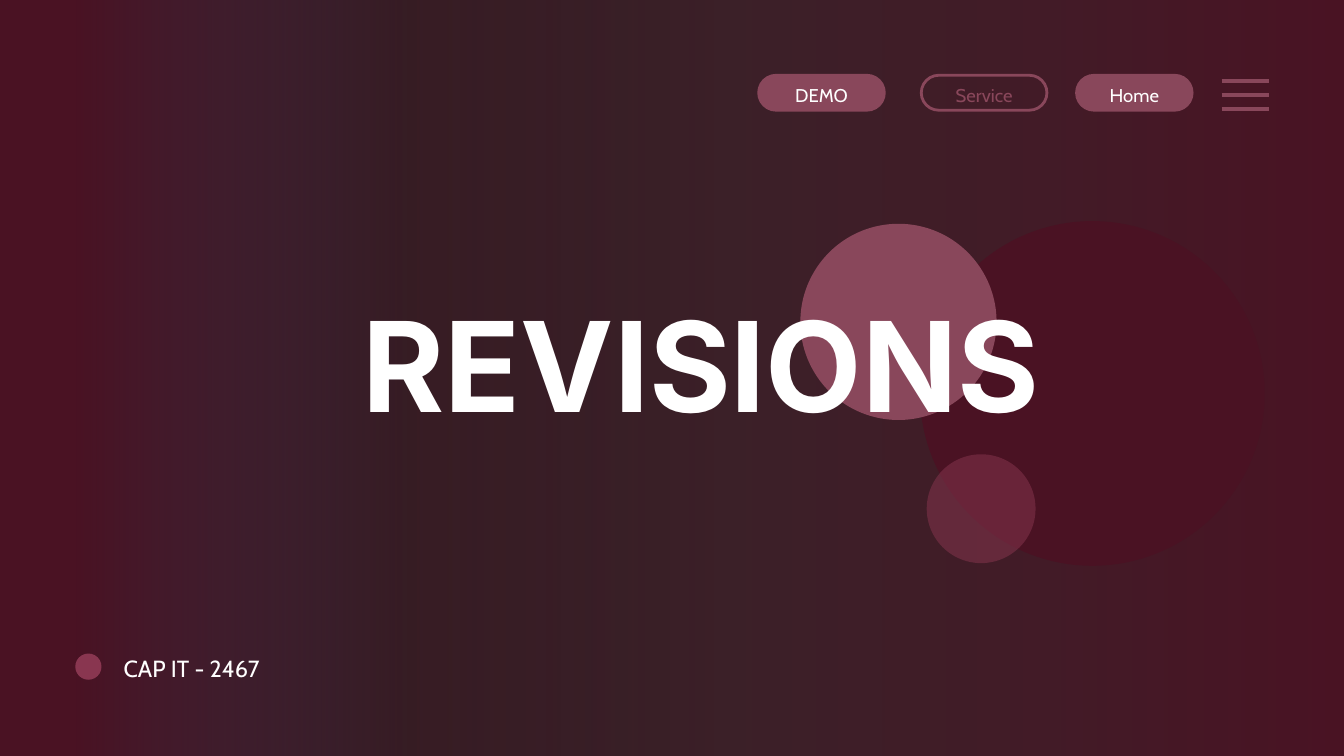
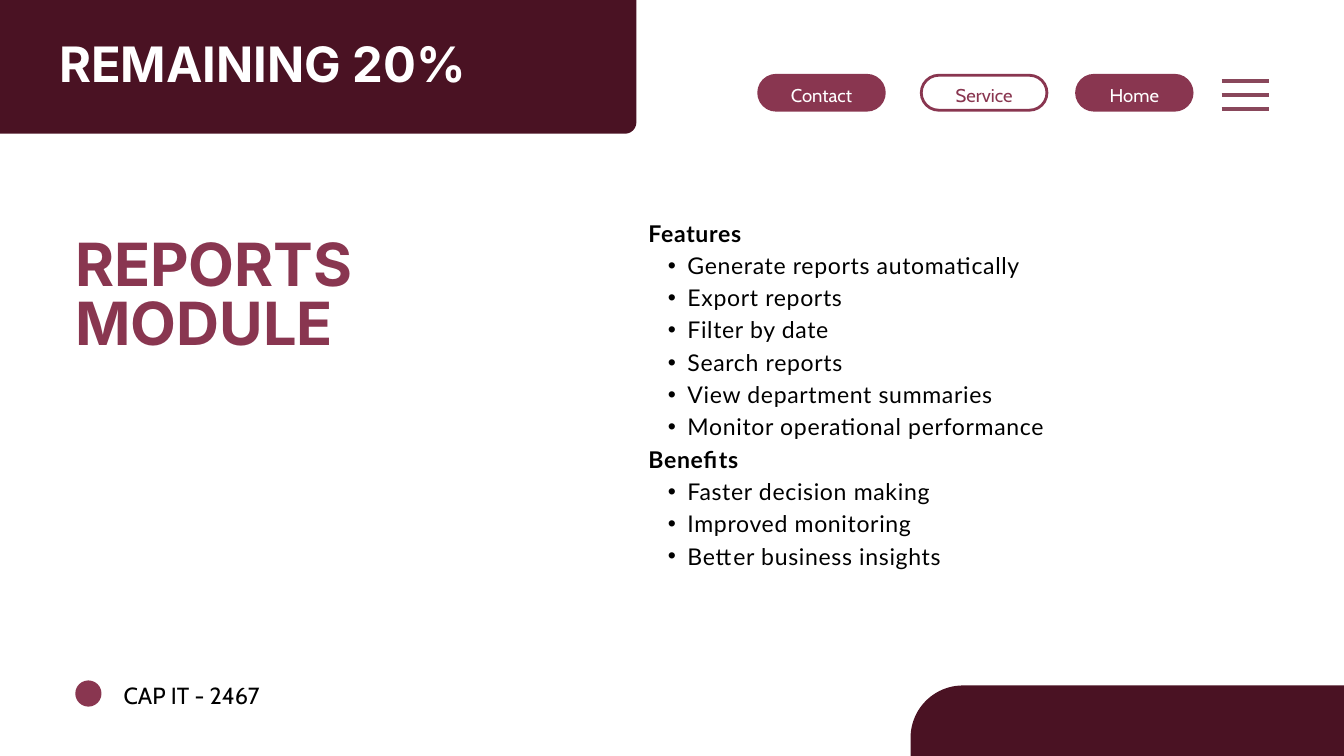
from lxml import etree
from pptx import Presentation
from pptx.dml.color import RGBColor
from pptx.enum.shapes import MSO_CONNECTOR, MSO_SHAPE
from pptx.enum.text import MSO_ANCHOR, MSO_AUTO_SIZE, PP_ALIGN
from pptx.oxml.ns import qn
from pptx.util import Inches, Pt

LEFT, CENTER, JUSTIFY = PP_ALIGN.LEFT, PP_ALIGN.CENTER, PP_ALIGN.JUSTIFY
TOP, MIDDLE = MSO_ANCHOR.TOP, MSO_ANCHOR.MIDDLE
OVAL, RECT, ROUNDED = MSO_SHAPE.OVAL, MSO_SHAPE.RECTANGLE, MSO_SHAPE.ROUNDED_RECTANGLE

COLORS = {
    "wine": "4A1223",
    "berry": "893650",
    "rose": "89475B",
    "white": "FFFFFF",
    "black": "000000",
}
GLOW_STOPS = [
    (0, "283E51", 0),
    (25, "321F25", 78),
    (50, "3B2028", 100),
    (75, "421B27", 100),
    (100, "4A1223", 100),
]
WIDTH, HEIGHT = Inches(20), Inches(11.25)
COL, ROW = WIDTH / 80, HEIGHT / 45
NAV_BOX = (45.16, 4.48, 30.36, 2.08)
FEATURES = [
    ("Features", [
        "Generate reports automatically",
        "Export reports",
        "Filter by date",
        "Search reports",
        "View department summaries",
        "Monitor operational performance",
    ]),
    ("Benefits", [
        "Faster decision making",
        "Improved monitoring",
        "Better business insights",
    ]),
]


def rgb(name):
    return RGBColor.from_string(COLORS[name])


def emu(box):
    x, y, w, h = box
    return round(x * COL), round(y * ROW), round(w * COL), round(h * ROW)


def add_shape(slide, kind, box, fill=None, line=None, radius=None):
    sp = slide.shapes.add_shape(kind, *emu(box))
    sp.shadow.inherit = False
    if fill:
        sp.fill.solid()
        sp.fill.fore_color.rgb = rgb(fill)
    else:
        sp.fill.background()
    if line:
        sp.line.color.rgb = rgb(line)
        sp.line.width = Pt(3)
    else:
        sp.line.fill.background()
    if radius is not None:
        sp.adjustments[0] = radius / min(box[2], box[3])
    return sp


def set_alpha(color, percent):
    etree.SubElement(color, qn("a:alpha"), val=str(percent * 1000))


def prepare_frame(sp, anchor=TOP):
    tf = sp.text_frame
    tf.word_wrap = True
    tf.auto_size = MSO_AUTO_SIZE.NONE
    tf.vertical_anchor = anchor
    tf.margin_left = tf.margin_right = tf.margin_top = tf.margin_bottom = 0
    return tf


def format_paragraph(p, font, size, color, spacing, align=LEFT, bold=False):
    p.alignment = align
    p.line_spacing = Pt(spacing)
    p.space_before = Pt(0)
    for r in p.runs:
        r.font.name = font
        r.font.size = Pt(size)
        r.font.bold = bold
        r.font.color.rgb = rgb(color)


def write(sp, text, *style, anchor=TOP, **options):
    tf = prepare_frame(sp, anchor)
    tf.text = text
    format_paragraph(tf.paragraphs[0], *style, **options)


def add_text(slide, box, text, *style, **options):
    write(slide.shapes.add_textbox(*emu(box)), text, *style, **options)


def place_on_top(slide, sp, box):
    sp.left, sp.top, sp.width, sp.height = emu(box)
    slide.shapes._spTree.append(sp._element)


def add_title(slide, box, text, size, spacing, align=LEFT):
    title = slide.shapes.title
    place_on_top(slide, title, box)
    write(title, text, "Inter", size, "white", spacing, align=align, bold=True)


def add_background(slide, color):
    fill = slide.background.fill
    fill.solid()
    fill.fore_color.rgb = rgb(color)


def add_glow(slide, box):
    sp = add_shape(slide, RECT, box)
    sp.fill.gradient()
    sp.fill.gradient_angle = 0
    stops = sp._element.spPr.find(qn("a:gradFill")).find(qn("a:gsLst"))
    for stop in list(stops):
        stops.remove(stop)
    for position, color, opacity in GLOW_STOPS:
        stop = etree.SubElement(stops, qn("a:gs"), pos=str(position * 1000))
        set_alpha(etree.SubElement(stop, qn("a:srgbClr"), val=color), opacity)


def add_orbs(slide, box):
    x, y, w, h = box
    add_shape(slide, OVAL, (x + w - h, y, h, h), "wine")
    add_shape(slide, OVAL, (x, y + 0.16, 11.68, 11.68), "rose")
    small = add_shape(slide, OVAL, (x + 7.52, y + 13.88, 6.48, 6.48), "berry")
    set_alpha(small._element.spPr.find(qn("a:solidFill"))[0], 50)


def add_nav(slide, box, first_label, accent):
    x, y, w, h = box
    pills = [
        (first_label, 0, 7.48, True),
        ("Service", 9.68, 7.48, False),
        ("Home", 18.92, 6.88, True),
    ]
    for label, offset, width, filled in pills:
        pill = add_shape(slide, ROUNDED, (x + offset, y, width, h),
                         accent if filled else None, accent, radius=h / 2)
        write(pill, label, "Cabin", 19.8, "white" if filled else accent, 27.8,
              align=CENTER, anchor=MIDDLE)
    for i in range(3):
        left, top, width, _ = emu((x + w - 2.8, y + 0.32 + 0.84 * i, 2.8, 0))
        bar = slide.shapes.add_connector(
            MSO_CONNECTOR.STRAIGHT, left, top, left + width, top)
        bar.line.color.rgb = rgb("rose")
        bar.line.width = Pt(4)
        etree.SubElement(bar._element.spPr, qn("a:effectLst"))


def add_footer(slide, box, color):
    x, y, w, h = box
    add_shape(slide, OVAL, (x, y + 0.22, 1.56, 1.56), "berry")
    add_text(slide, (x + 2.88, y, w - 2.88, h), "CAP IT - 2467",
             "Cabin", 25, color, 35)


def add_feature_list(slide, box, sections):
    body = slide.placeholders[1]
    place_on_top(slide, body, box)
    tf = prepare_frame(body)
    lines = []
    for heading, items in sections:
        lines.append((heading, True))
        lines.extend((item, False) for item in items)
    for i, (text, is_heading) in enumerate(lines):
        p = tf.paragraphs[0] if i == 0 else tf.add_paragraph()
        p.text = text
        p.level = 0 if is_heading else 1
        format_paragraph(p, "Lato", 24.7, "black", 34.6, JUSTIFY, is_heading)
        for r in p.runs:
            r.font._element.set("spc", "70")
        pPr = p._p.get_or_add_pPr()
        pPr.set("marL", str(0 if is_heading else Inches(0.58)))
        pPr.set("indent", str(0 if is_heading else -Inches(0.29)))
        if is_heading:
            etree.SubElement(pPr, qn("a:buNone"))
        else:
            etree.SubElement(pPr, qn("a:buFont"), typeface="Arial")
            etree.SubElement(pPr, qn("a:buChar"), char="•")


def build_cover(prs):
    slide = prs.slides.add_slide(prs.slide_layouts[5])
    add_background(slide, "wine")
    add_glow(slide, (4.48, 0, 76.84, 46.72))
    add_orbs(slide, (47.64, 13.16, 27.64, 20.52))
    add_nav(slide, NAV_BOX, "DEMO", "rose")
    add_footer(slide, (4.48, 38.68, 23.52, 1.84), "white")
    add_title(slide, (13.04, 15.6, 57.44, 10.08), "REVISIONS",
              134.1, 187.7, CENTER)


def build_module(prs):
    slide = prs.slides.add_slide(prs.slide_layouts[1])
    add_background(slide, "white")
    add_shape(slide, ROUNDED, (-3.64, -9.96, 41.52, 17.92), "wine", radius=0.68)
    add_shape(slide, ROUNDED, (54.2, 40.8, 37.04, 9.16), "wine", radius=3.12)
    add_nav(slide, NAV_BOX, "Contact", "berry")
    add_feature_list(slide, (38.6, 12.76, 41.4, 22.92), FEATURES)
    add_text(slide, (4.48, 14.2, 27.72, 7.2), "REPORTS MODULE",
             "Inter", 63.8, "berry", 63.8, bold=True)
    add_footer(slide, (4.48, 40.28, 23.52, 1.84), "black")
    add_title(slide, (3.52, 2.56, 26.36, 3.04), "REMAINING 20%", 52.3, 52.3)


def main():
    prs = Presentation()
    prs.slide_width, prs.slide_height = WIDTH, HEIGHT
    build_cover(prs)
    build_module(prs)
    prs.save("out.pptx")


if __name__ == "__main__":
    main()
